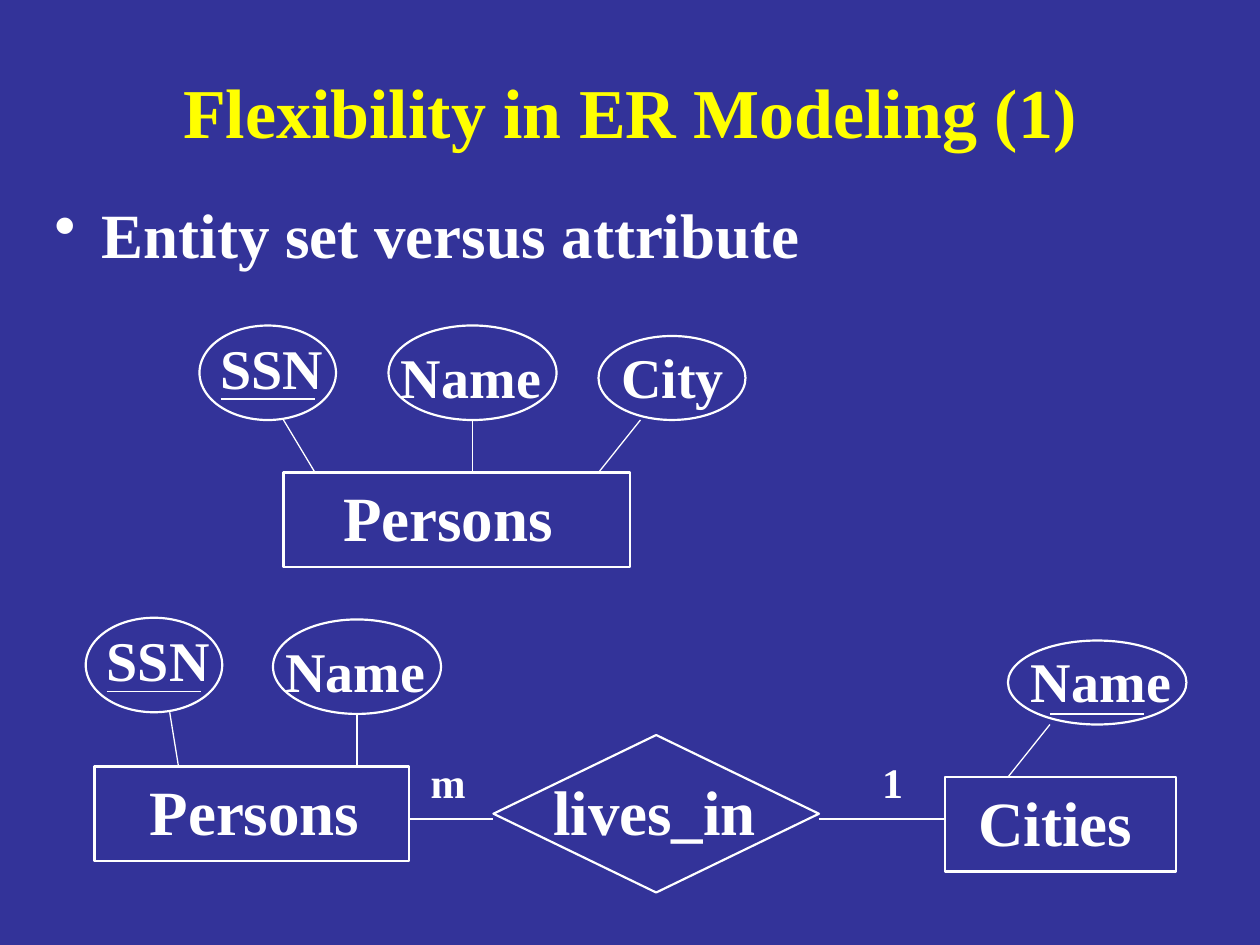
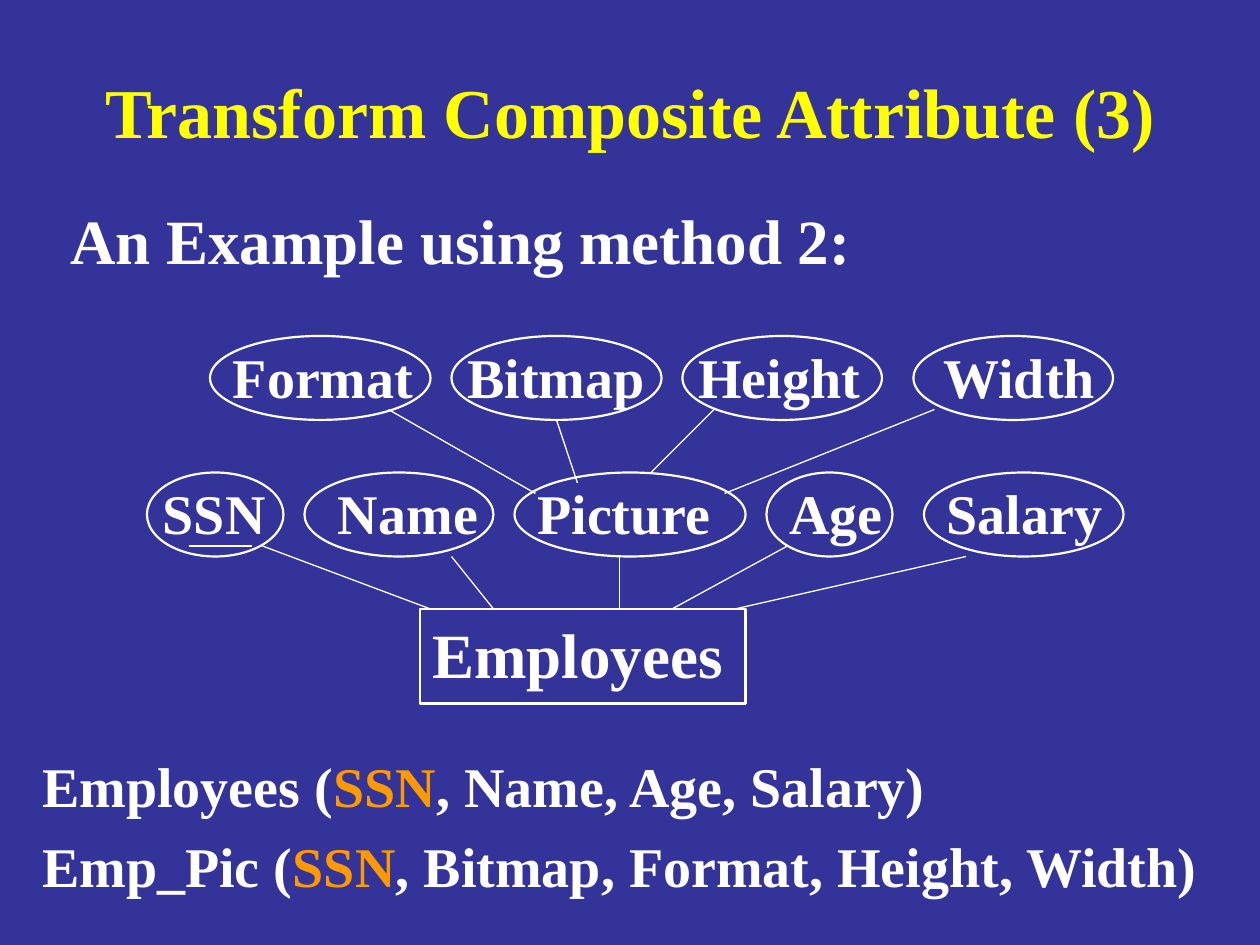
from dataclasses import dataclass
from typing import Any

from lxml import etree
from pptx import Presentation
from pptx.dml.color import RGBColor
from pptx.enum.shapes import MSO_CONNECTOR as Wire, MSO_SHAPE as Form
from pptx.enum.text import MSO_ANCHOR as Anchor, PP_ALIGN as Align
from pptx.oxml.ns import qn
from pptx.util import Pt

HUES = {"back": "333399", "title": "FFFF00", "ink": "FFFFFF", "key": "FF9900"}
FACE = "Times New Roman"
WIDTHS = {
    "SSN": 75, "Name": 96, "City": 75, "Format": 119, "Bitmap": 119,
    "Height": 108, "Width": 104, "Picture": 116, "Age": 70, "Salary": 105,
    "Persons": 138, "Cities": 104, "lives_in": 133, "Employees": 198,
    "m": 36, "1": 28,
}


def hue(name):
    return RGBColor.from_string(HUES[name])


def style(font, size, color="ink"):
    font.name, font.size, font.bold = FACE, Pt(size), True
    font.color.rgb = hue(color)


def text_box(slide, left, top, width, height):
    frame = slide.shapes.add_textbox(*map(Pt, (left, top, width, height))).text_frame
    frame.word_wrap = True
    return frame


@dataclass
class Pane:
    """A region of a slide; all parts are placed from its top left corner."""
    slide: Any
    left: float
    top: float

    def label(self, text, x, y, size):
        frame = text_box(self.slide, self.left + x, self.top + y,
                         WIDTHS[text], round(size * 1.2 + 7))
        para = frame.paragraphs[0]
        para.text = text
        style(para.font, size)

    def node(self, form, text, box, shift, size):
        """Draw an outline with its label shifted from the outline's corner."""
        x, y, wide, high = box
        shape = self.slide.shapes.add_shape(
            form, *map(Pt, (self.left + x, self.top + y, wide, high)))
        shape.shadow.inherit = False
        shape.fill.background()
        shape.line.color.rgb = hue("ink")
        shape.line.width = Pt(1.25)
        self.label(text, x + shift[0], y + shift[1], size)

    def field(self, text, box, shift=(6, 0), key=None):
        """Draw an attribute; key gives the span of a key's underline."""
        self.node(Form.OVAL, text, box, shift, 32)
        if key:
            x, y = box[:2]
            self.link(x + key[0], y + 42, x + key[1], y + 42)

    def entity(self, text, box, shift=0):
        self.node(Form.RECTANGLE, text, box, (shift, 0), 36)

    def link(self, x1, y1, x2, y2):
        line = self.slide.shapes.add_connector(
            Wire.STRAIGHT, Pt(self.left + x1), Pt(self.top + y1),
            Pt(self.left + x2), Pt(self.top + y2))
        line.line.color.rgb = hue("ink")
        line.line.width = Pt(0.75)
        etree.SubElement(line._element.spPr, qn("a:effectLst"))

    def person(self, ssn, name):
        """Draw the two attributes that every person has."""
        self.field("SSN", (*ssn, 78, 54), (5, 1), key=(12, 66))
        self.field("Name", (*name, 96, 54), (0, 6))


def new_slide(deck, text, left, width):
    slide = deck.slides.add_slide(deck.slide_layouts[5])
    title = slide.shapes.title
    title.left, title.top, title.width, title.height = map(Pt, (left, 30, width, 66))
    title.text_frame.vertical_anchor = Anchor.MIDDLE
    para = title.text_frame.paragraphs[0]
    para.text, para.alignment = text, Align.CENTER
    style(para.font, 40, "title")
    return slide


def lead(slide, text, top, indent, bullet=False):
    para = text_box(slide, 24, top, 672, 516 - top).paragraphs[0]
    para.text, para.space_before = text, Pt(9)
    style(para.font, 36)
    props = para._p.get_or_add_pPr()
    props.set("marL", str(Pt(indent)))
    if bullet:
        props.set("indent", str(-Pt(indent)))
        tint = etree.SubElement(props, qn("a:buClr"))
        etree.SubElement(tint, qn("a:srgbClr"), val=HUES["ink"])
        etree.SubElement(props, qn("a:buChar"), char="•")
    return para


def city_field(pane):
    """Show the city as an attribute of a person."""
    pane.person((0, 0), (108, 0))
    pane.field("City", (228, 6, 84, 48))
    pane.entity("Persons", (48, 84, 198, 54), 27)
    for ends in ((66, 84, 48, 54), (156, 84, 156, 54), (252, 54, 228, 84)):
        pane.link(*ends)


def city_entity(pane):
    """Show the city as an entity set of its own."""
    pane.person((1, 5), (108, 6))
    pane.entity("Persons", (6, 90, 180, 54), 24.5)
    pane.node(Form.DIAMOND, "lives_in", (234, 72, 186, 90), (27, 18), 36)
    pane.field("Name", (528, 18, 102, 48), key=(24, 78))
    pane.entity("Cities", (492, 96, 132, 54), 12)
    for ends in ((54, 90, 49, 59), (156, 90, 156, 60), (552, 66, 528, 96),
                 (186, 120, 234, 120), (420, 120, 492, 120)):
        pane.link(*ends)
    pane.label("m", 191, 81, 24)
    pane.label("1", 449, 81, 24)


def staff(pane):
    """Show employees, their attributes and the parts of Picture."""
    rows = {
        0: (("Format", 36, 126, 6), ("Bitmap", 174, 120, 2),
            ("Height", 306, 114, 2), ("Width", 438, 114, 10)),
        78: (("SSN", 0, 78, 2), ("Name", 90, 108, 12), ("Picture", 210, 132, 6),
             ("Age", 354, 72, 6), ("Salary", 444, 114, 6)),
    }
    for y, row in rows.items():
        for text, x, wide, shift in row:
            key = (24, 60) if text == "SSN" else None
            pane.field(text, (x, y, wide, 48), (shift, 0), key)
    pane.entity("Employees", (156, 156, 186, 54))
    parts = ((138, 42, 222, 90), (234, 48, 246, 84),
             (324, 42, 288, 78), (450, 42, 330, 90))
    fields = ((66, 120, 162, 156), (174, 126, 198, 156), (270, 126, 270, 156),
              (366, 120, 300, 156), (468, 126, 336, 156))
    for ends in parts + fields:
        pane.link(*ends)


def schema(slide, left, top):
    frame = text_box(slide, left, top, 684, 99)
    tables = (("Employees", "Name, Age, Salary"),
              ("Emp_Pic", "Bitmap, Format, Height, Width"))
    for i, (table, rest) in enumerate(tables):
        para = frame.add_paragraph() if i else frame.paragraphs[0]
        para.line_spacing = 1.2
        for text, color in ((f"{table} (", "ink"), ("SSN", "key"), (f", {rest})", "ink")):
            run = para.add_run()
            run.text = text
            style(run.font, 32, color)


def main():
    deck = Presentation()
    deck.slide_width, deck.slide_height = Pt(720), Pt(540)
    fill = deck.slide_master.background.fill
    fill.solid()
    fill.fore_color.rgb = hue("back")

    slide = new_slide(deck, "Flexibility in ER Modeling (1)", 54, 612)
    lead(slide, "Entity set versus attribute", 108, 27, bullet=True)
    city_field(Pane(slide, 114, 186))
    city_entity(Pane(slide, 48, 348))

    slide = new_slide(deck, "Transform Composite Attribute (3)", 42, 636)
    lead(slide, "An Example using method 2:", 120, 9).line_spacing = 0.8
    staff(Pane(slide, 84, 192))
    schema(slide, 17, 418)

    deck.save("out.pptx")


if __name__ == "__main__":
    main()
